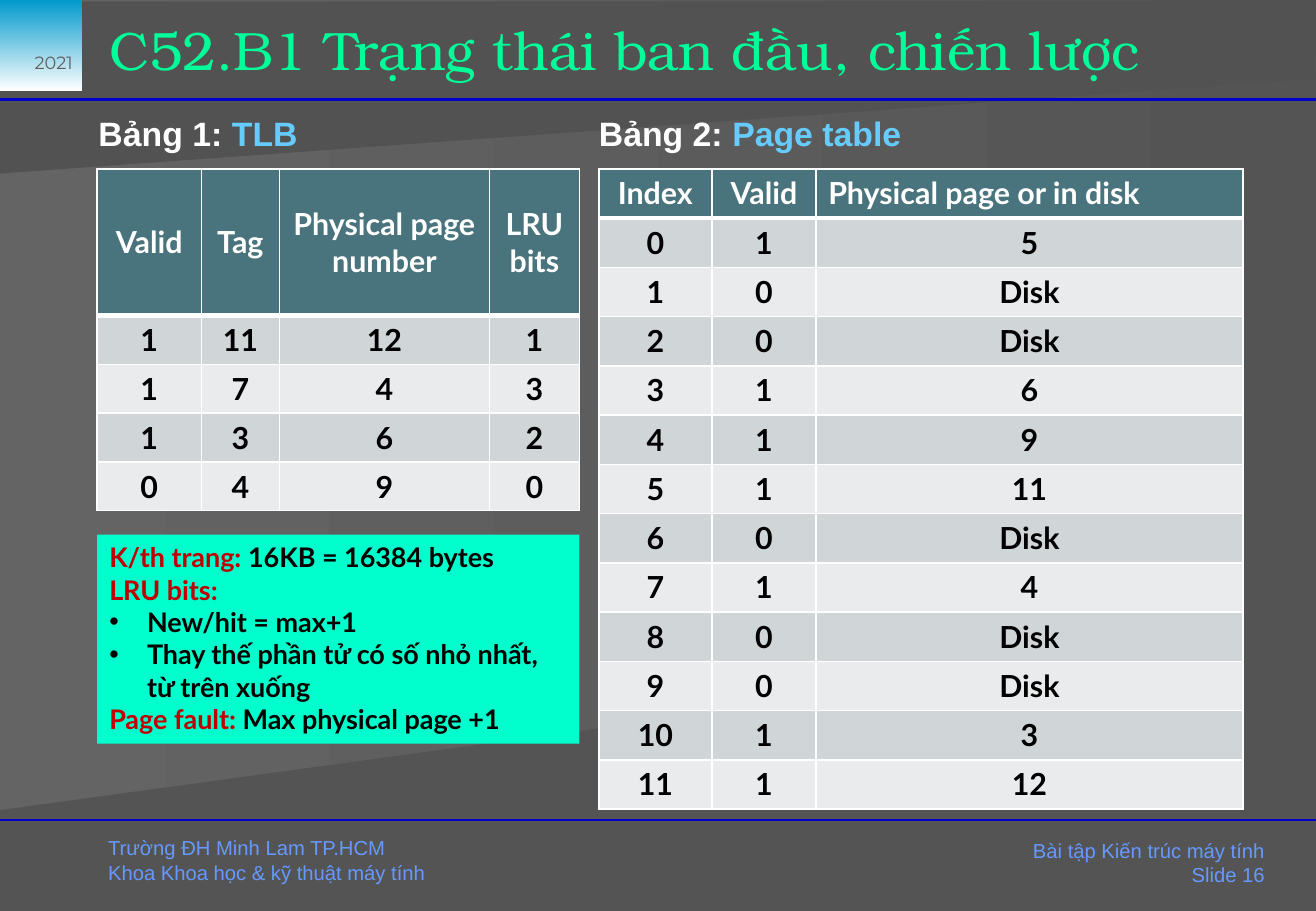
"""Build the slide with the TLB and page table starting state."""
from lxml.etree import SubElement
from pptx import Presentation
from pptx.dml.color import RGBColor
from pptx.enum.shapes import MSO_CONNECTOR, MSO_SHAPE
from pptx.enum.text import MSO_ANCHOR as Anchor, MSO_AUTO_SIZE as AutoSize, PP_ALIGN as Align
from pptx.oxml.ns import qn
from pptx.util import Cm, Pt

hex_color = RGBColor.from_string


def write(paragraph, text, color, size, font, bold=False, align=Align.LEFT):
    paragraph.alignment = align
    run = paragraph.add_run()
    run.text = text
    run.font.size, run.font.name, run.font.bold = Pt(size), font, bold
    run.font.color.rgb = hex_color(color)


deck = Presentation()
deck.slide_width, deck.slide_height = Cm(27.51), Cm(19.05)
slide = deck.slides.add_slide(deck.slide_layouts[1])
shapes = slide.shapes
title, rules = slide.placeholders
slide.background.fill.solid()
slide.background.fill.fore_color.rgb = hex_color("545454")

gradient_areas = [
    ([(0, 0), (27.51, 0), (27.51, 13.16), (0, 16.94)], "646464", "545454", 0),
    ([(0, 0.03), (27.51, 0.03), (27.48, 1.65), (0, 3.63)], "525252", "545454", 0),
    ([(0, 0), (1.72, 0), (1.72, 1.9), (0, 1.9)], "0099CC", "FFFFFF", 270),
]
for corners, first_color, last_color, angle in gradient_areas:
    if angle:
        area = shapes.add_shape(MSO_SHAPE.RECTANGLE, 0, 0, *map(Cm, corners[2]))
    else:
        points = [(Cm(x), Cm(y)) for x, y in corners]
        outline = shapes.build_freeform(*points[0])
        outline.add_line_segments(points[1:])
        area = outline.convert_to_shape()
    area.shadow.inherit = False
    area.line.fill.background()
    area.fill.gradient()
    area.fill.gradient_angle = angle
    for stop, color in zip(area.fill.gradient_stops, (first_color, last_color)):
        stop.color.rgb = hex_color(color)

for y in (2.08, 17.15):
    divider = shapes.add_connector(MSO_CONNECTOR.STRAIGHT, 0, Cm(y), deck.slide_width, Cm(y))
    divider.line.color.rgb = hex_color("0000CC")
    divider.line.width = Pt(1.5)
    SubElement(divider.element.spPr, qn("a:effectLst"))

for placeholder in (title, rules):
    placeholder.element.getparent().append(placeholder.element)

title.left, title.top, title.width, title.height = Cm(2.03), Cm(0.23), Cm(24.66), Cm(1.6)
title.text_frame.auto_size = AutoSize.NONE
title.text_frame.vertical_anchor = Anchor.MIDDLE
write(title.text_frame.paragraphs[0], "C52.B1 Trạng thái ban đầu, chiến lược",
      "00FF99", 32, "TeX Gyre Bonum")

white, sky, footer_blue = "FFFFFF", "66CCFF", "6699FF"
labels = [
    ((0.3, 1.09, 1.22, 0.81), False, Anchor.TOP, Align.RIGHT, "Montserrat", 10.5, False,
     [[("2021", "5F5F5F")]]),
    ((2.06, 2.36, 4.5, 0.86), False, Anchor.MIDDLE, Align.LEFT, "Arial", 20, True,
     [[("Bảng 1: ", white), ("TLB", sky)]]),
    ((12.52, 2.36, 6.91, 0.86), False, Anchor.MIDDLE, Align.LEFT, "Arial", 20, True,
     [[("Bảng 2: ", white), ("Page table", sky)]]),
    ((2.01, 17.35, 8.18, 1.27), True, Anchor.TOP, Align.LEFT, "Arial", 12, False,
     [[("Trường ĐH Minh Lam TP.HCM", footer_blue)],
      [("Khoa Khoa học & kỹ thuật máy tính", footer_blue)]]),
    ((19.43, 17.42, 7.26, 1.24), True, Anchor.MIDDLE, Align.RIGHT, "Arial", 12, False,
     [[("Bài tập Kiến trúc máy tính", footer_blue)], [("Slide 16", footer_blue)]]),
]
for place, padded, anchor, align, font, size, bold, lines in labels:
    frame = shapes.add_textbox(*map(Cm, place)).text_frame
    frame.word_wrap = True
    frame.vertical_anchor = anchor
    if not padded:
        frame.margin_left = frame.margin_right = frame.margin_top = frame.margin_bottom = 0
    for number, line in enumerate(lines):
        paragraph = frame.add_paragraph() if number else frame.paragraphs[0]
        for text, color in line:
            write(paragraph, text, color, size, font, bold, align)

tlb = [
    ["Valid", "Tag", "Physical page number", "LRU bits"],
    [1, 11, 12, 1],
    [1, 7, 4, 3],
    [1, 3, 6, 2],
    [0, 4, 9, 0],
]
physical_pages = [5, "Disk", "Disk", 6, 9, 11, "Disk", 4, "Disk", "Disk", 3, 12]
page_table = [["Index", "Valid", "Physical page or in disk"]] + [
    [index, 0 if page == "Disk" else 1, page] for index, page in enumerate(physical_pages)
]
tables = [
    (tlb, 2.03, [2.18, 1.63, 4.39, 1.88], 3.07, 1.02, Anchor.MIDDLE),
    (page_table, 12.52, [2.36, 2.18, 8.92], 1.03, 1.03, Anchor.TOP),
]
for rows, left, widths, header_height, row_height, anchor in tables:
    height = header_height + row_height * (len(rows) - 1)
    grid = shapes.add_table(len(rows), len(widths), Cm(left), Cm(3.53),
                            Cm(sum(widths)), Cm(height)).table
    for column, width in zip(grid.columns, widths):
        column.width = Cm(width)
    for r, values in enumerate(rows):
        grid.rows[r].height = Cm(row_height if r else header_height)
        for c, value in enumerate(values):
            cell = grid.cell(r, c)
            cell.vertical_anchor = anchor
            for side in ("L", "R", "T", "B"):
                thick = (r, side) in ((0, "B"), (1, "T"))
                border = SubElement(cell._tc.get_or_add_tcPr(), qn(f"a:ln{side}"),
                                    w=str(Pt(3 if thick else 1)))
                SubElement(SubElement(border, qn("a:solidFill")), qn("a:srgbClr"), val=white)
            cell.fill.solid()
            cell.fill.fore_color.rgb = hex_color(
                "49747D" if r == 0 else "D0D6D7" if r % 2 else "E9EBEC")
            align = Align.LEFT if value == "Physical page or in disk" else Align.CENTER
            write(cell.text_frame.paragraphs[0], str(value), "000000" if r else white,
                  18, "Lato", True, align)

rules.left, rules.top, rules.width, rules.height = Cm(2.03), Cm(11.18), Cm(10.08), Cm(4.37)
rules.fill.solid()
rules.fill.fore_color.rgb = hex_color("00FFCC")
rules.text_frame.auto_size = AutoSize.NONE
rules.text_frame.vertical_anchor = Anchor.TOP
rule_lines = [
    ("K/th trang: ", "16KB = 16384 bytes"),
    ("LRU bits:", ""),
    ("", "New/hit = max+1"),
    ("", "Thay thế phần tử có số nhỏ nhất, từ trên xuống"),
    ("Page fault:", " Max physical page +1"),
]
for number, (term, detail) in enumerate(rule_lines):
    paragraph = rules.text_frame.add_paragraph() if number else rules.text_frame.paragraphs[0]
    paragraph.space_before = Pt(0)
    for text, color in ((term, "C00000"), (detail, "000000")):
        if text:
            write(paragraph, text, color, 16, "Lato", True)
    properties = paragraph._p.get_or_add_pPr()
    indent = 0 if term else Cm(0.79)
    properties.set("marL", str(indent))
    properties.set("indent", str(-indent))
    if term:
        SubElement(properties, qn("a:buNone"))
    else:
        SubElement(properties, qn("a:buFont"), typeface="Arial")
        SubElement(properties, qn("a:buChar"), char="•")

deck.save("out.pptx")
